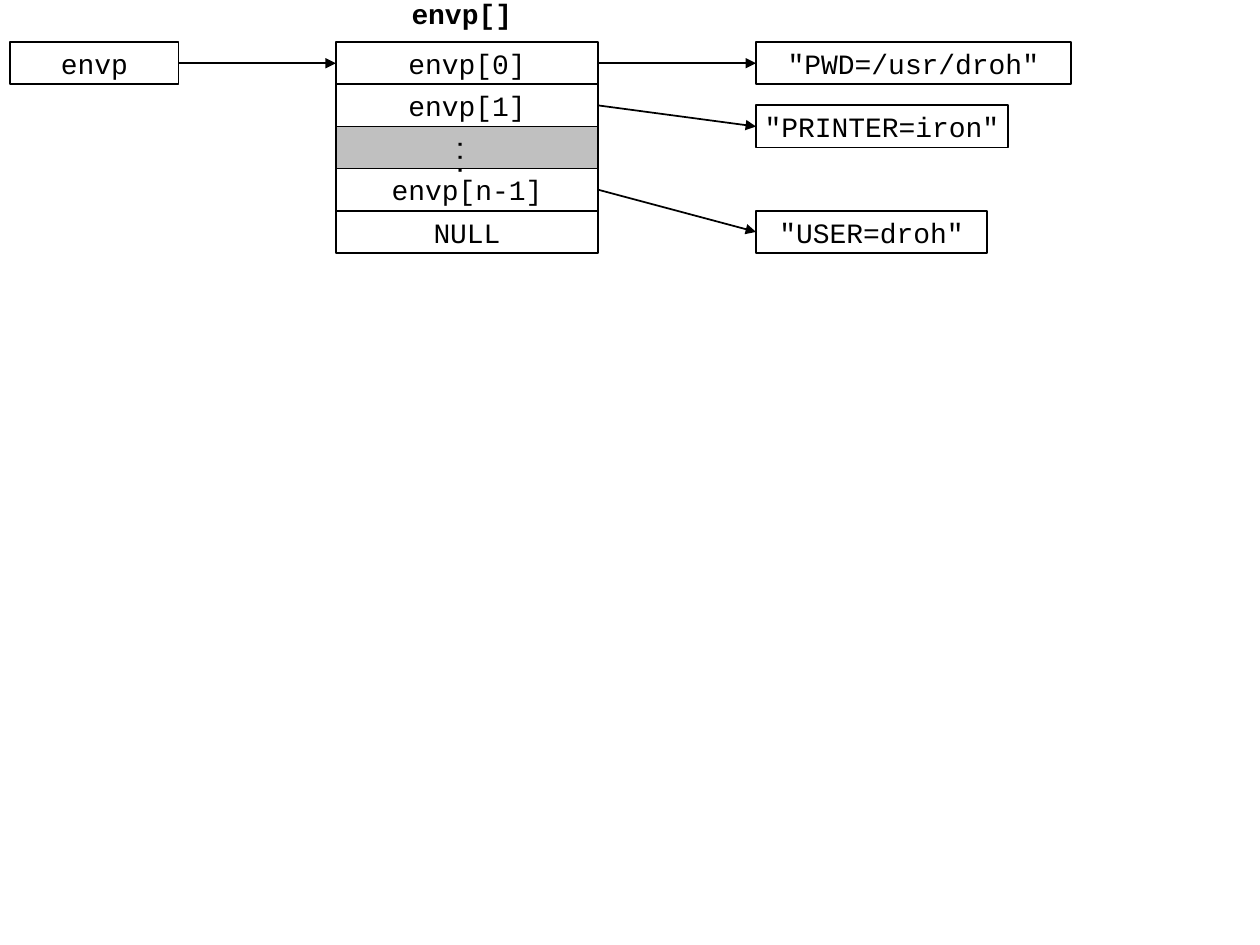
"""Build a slide showing how envp points to an array of environment strings."""
import pptx
import pptx.dml.color
import pptx.enum.shapes
import pptx.enum.text
import pptx.oxml
import pptx.oxml.ns
import pptx.util
from pptx.util import Cm

COLORS = {"ink": "000000", "gap": "C0C0C0"}
FONT = "Courier New"
ROW = 0.85
TOP = 0.85
ARRAY_X, ARRAY_W = 6.77, 5.29
STRING_X = 15.24


def rgb(name):
    return pptx.dml.color.RGBColor.from_string(COLORS[name])


def set_text(sp, text, size=16, bold=False):
    tf = sp.text_frame
    tf.text = text
    tf.word_wrap = False
    tf.vertical_anchor = pptx.enum.text.MSO_ANCHOR.MIDDLE
    p = tf.paragraphs[0]
    p.alignment = pptx.enum.text.PP_ALIGN.CENTER
    font = p.runs[0].font
    font.name = FONT
    font.size = pptx.util.Pt(size)
    font.bold = bold
    font.color.rgb = rgb("ink")


def add_box(s, text, x, row, width):
    sp = s.shapes.add_shape(pptx.enum.shapes.MSO_SHAPE.RECTANGLE,
                            Cm(x), Cm(TOP + row * ROW), Cm(width), Cm(ROW))
    sp.shadow.inherit = False
    sp.fill.background()
    sp.line.color.rgb = rgb("ink")
    sp.line.width = pptx.util.Pt(1)
    set_text(sp, text)
    return sp


def add_gap(s, row):
    sp = add_box(s, "...", ARRAY_X, row, ARRAY_W)
    sp.fill.solid()
    sp.fill.fore_color.rgb = rgb("gap")
    set_text(sp, "...", size=12, bold=True)
    sp.text_frame._txBody.bodyPr.set("vert", "eaVert")


def add_label(s, text, x, y, width, height):
    sp = s.shapes.add_textbox(Cm(x), Cm(y), Cm(width), Cm(height))
    set_text(sp, text, bold=True)
    sp.text_frame.auto_size = pptx.enum.text.MSO_AUTO_SIZE.SHAPE_TO_FIT_TEXT


def add_arrow(s, source, target):
    c = s.shapes.add_connector(pptx.enum.shapes.MSO_CONNECTOR.STRAIGHT, 0, 0, 0, 0)
    c.begin_connect(source, 3)
    c.end_connect(target, 1)
    c.line.color.rgb = rgb("ink")
    c.line.width = pptx.util.Pt(1)
    ns = pptx.oxml.ns.nsdecls("a")
    c.line._get_or_add_ln().append(
        pptx.oxml.parse_xml(f'<a:tailEnd {ns} type="triangle"/>'))
    c._element.spPr.append(pptx.oxml.parse_xml(f"<a:effectLst {ns}/>"))


def main():
    prs = pptx.Presentation()
    prs.slide_width, prs.slide_height = Cm(25.4), Cm(19.05)
    s = prs.slides.add_slide(prs.slide_layouts[6])

    pointer = add_box(s, "envp", 0.21, 0, 3.39)
    add_gap(s, 2)
    cells = {row: add_box(s, text, ARRAY_X, row, ARRAY_W)
             for row, text in [(0, "envp[0]"), (1, "envp[1]"),
                               (3, "envp[n-1]"), (4, "NULL")]}
    add_label(s, "envp[]", 8.04, -0.21, 2.54, 0.94)

    add_arrow(s, pointer, cells[0])
    for cell, text, row, width in [(0, '"PWD=/usr/droh"', 0, 6.35),
                                   (1, '"PRINTER=iron"', 1.5, 5.08),
                                   (3, '"USER=droh"', 4, 4.66)]:
        add_arrow(s, cells[cell], add_box(s, text, STRING_X, row, width))

    prs.save("out.pptx")


if __name__ == "__main__":
    main()
